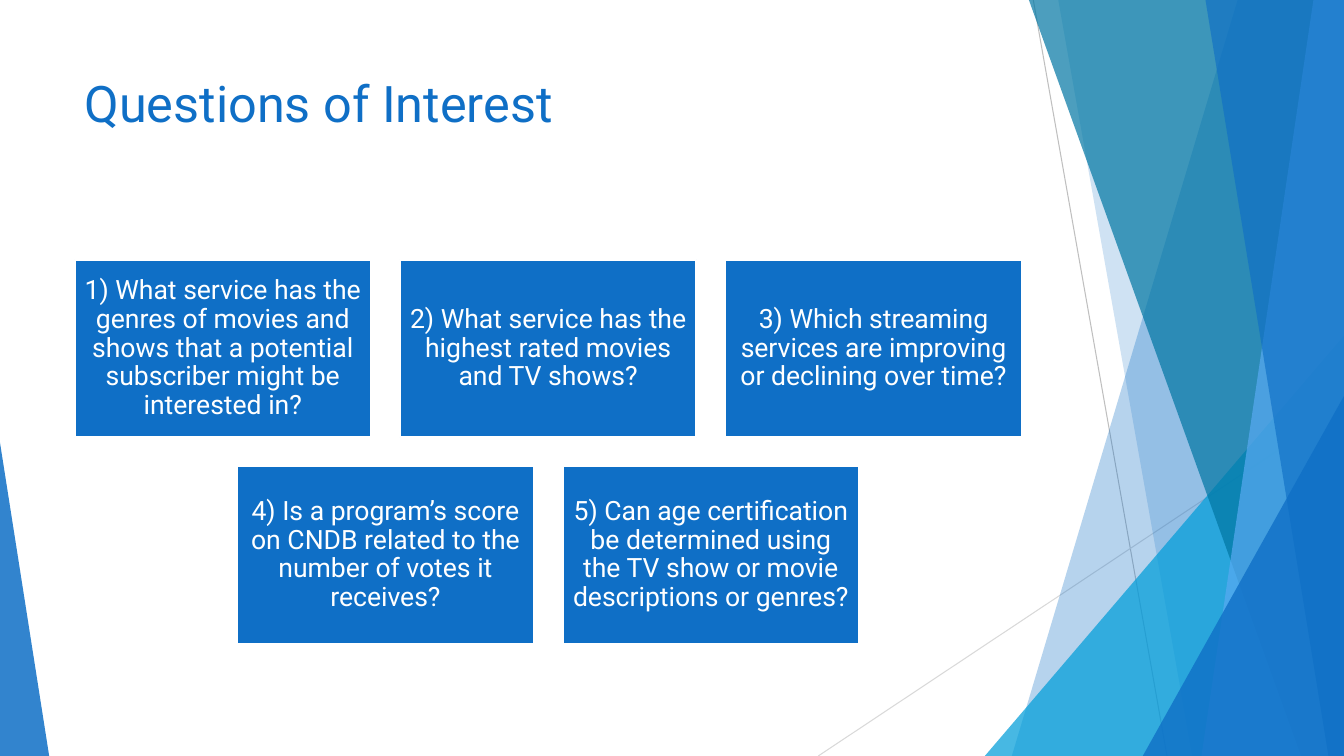
from lxml import etree
from pptx import Presentation
from pptx import util as u
from pptx.dml.color import RGBColor
from pptx.enum import shapes, text
from pptx.oxml.ns import qn

COLORS = {"blue": "0F6FC6", "cyan": "009DD9", "teal": "0076A3", "sky": "59AAF2",
          "white": "FFFFFF", "gray": "BFBFBF", "pale": "D9D9D9"}
WIDTH, HEIGHT = 33.87, 19.05

deck = Presentation()
deck.slide_width, deck.slide_height = u.Cm(WIDTH), u.Cm(HEIGHT)
page = deck.slides.add_slide(deck.slide_layouts[6])


def paint(shape, color, opacity=100):
    """Fill a shape with a colour at an opacity in percent, without outline or shadow."""
    shape.shadow.inherit = False
    shape.line.fill.background()
    shape.fill.solid()
    shape.fill.fore_color.rgb = RGBColor.from_string(COLORS[color])
    if opacity < 100:
        tint = shape.fill._xPr.find(qn("a:solidFill"))[0]
        etree.SubElement(tint, qn("a:alpha"), val=str(opacity * 1000))


def write(frame, words, size, color):
    """Put one styled paragraph in a text frame and return it."""
    frame.word_wrap = True
    para = frame.paragraphs[0]
    para.text = words
    para.font.name, para.font.size = "Roboto", u.Pt(size)
    para.font.color.rgb = RGBColor.from_string(COLORS[color])
    return para


# Thin lines behind the facets
for x1, y1, x2, y2, color in [(26.04, 0, 29.41, HEIGHT, "gray"),
                              (WIDTH, 10.24, 20.62, HEIGHT, "pale")]:
    line = page.shapes.add_connector(shapes.MSO_CONNECTOR.STRAIGHT,
                                     u.Cm(x1), u.Cm(y1), u.Cm(x2), u.Cm(y2))
    line.line.color.rgb = RGBColor.from_string(COLORS[color])
    line.line.width = u.Pt(0.75)
    etree.SubElement(line._element.spPr, qn("a:effectLst"))

# Bands run from a top x to a bottom x and reach the right edge;
# triangles have left, top, width and the place of the apex.
facets = [
    ("band", (31.19, 25.5), "blue", 30),
    ("band", (26.67, 30.05), "blue", 20),
    ("triangle", (24.82, 8.46, 9.05, 1), "cyan", 72),
    ("band", (25.93, 32.79), "teal", 70),
    ("band", (33.1, 30.28), "sky", 70),
    ("band", (30.38, 33.48), "blue", 65),
    ("triangle", (28.8, 9.98, 5.07, 1), "blue", 80),
    ("triangle", (0, 11.15, 1.24, 0), "blue", 85),
]
for kind, place, color, opacity in facets:
    if kind == "band":
        top_x, bottom_x = place
        outline = page.shapes.build_freeform(u.Cm(top_x), 0)
        corners = [(WIDTH, 0), (WIDTH, HEIGHT), (bottom_x, HEIGHT)]
        outline.add_line_segments([(u.Cm(x), u.Cm(y)) for x, y in corners], close=True)
        facet = outline.convert_to_shape()
    else:
        left, top, width, apex = place
        facet = page.shapes.add_shape(shapes.MSO_SHAPE.ISOSCELES_TRIANGLE, u.Cm(left),
                                      u.Cm(top), u.Cm(width), u.Cm(HEIGHT - top))
        facet.adjustments[0] = apex
    paint(facet, color, opacity)

title = page.shapes.add_textbox(u.Cm(1.88), u.Cm(1.7), u.Cm(23.88), u.Cm(3.66))
write(title.text_frame, "Questions of Interest", 36, "blue")

# Question cards: the second row is shifted by half a step
CARD_WIDTH, CARD_HEIGHT, GAP = 7.47, 4.47, 0.73
STEP = CARD_WIDTH + GAP
rows = [
    ["1) What service has the genres of movies and shows that a potential "
     "subscriber might be interested in?",
     "2) What service has the highest rated movies and TV shows?",
     "3) Which streaming services are improving or declining over time?"],
    ["4) Is a program’s score on CNDB related to the number of votes it receives?",
     "5) Can age certification be determined using the TV show or movie "
     "descriptions or genres?"],
]
for row, questions in enumerate(rows):
    for column, question in enumerate(questions):
        card = page.shapes.add_shape(
            shapes.MSO_SHAPE.RECTANGLE,
            u.Cm(1.88 + (column + row / 2) * STEP),
            u.Cm(6.55 + row * (CARD_HEIGHT + GAP)),
            u.Cm(CARD_WIDTH), u.Cm(CARD_HEIGHT))
        paint(card, "blue")
        card.line.color.rgb = RGBColor.from_string(COLORS["white"])
        card.line.width = u.Pt(1.5)
        frame = card.text_frame
        frame.margin_left = frame.margin_right = u.Cm(0.2)
        frame.margin_top = frame.margin_bottom = u.Cm(0.2)
        frame.vertical_anchor = text.MSO_ANCHOR.MIDDLE
        para = write(frame, question, 19, "white")
        para.alignment = text.PP_ALIGN.CENTER
        para.line_spacing = 0.9

deck.save("out.pptx")
